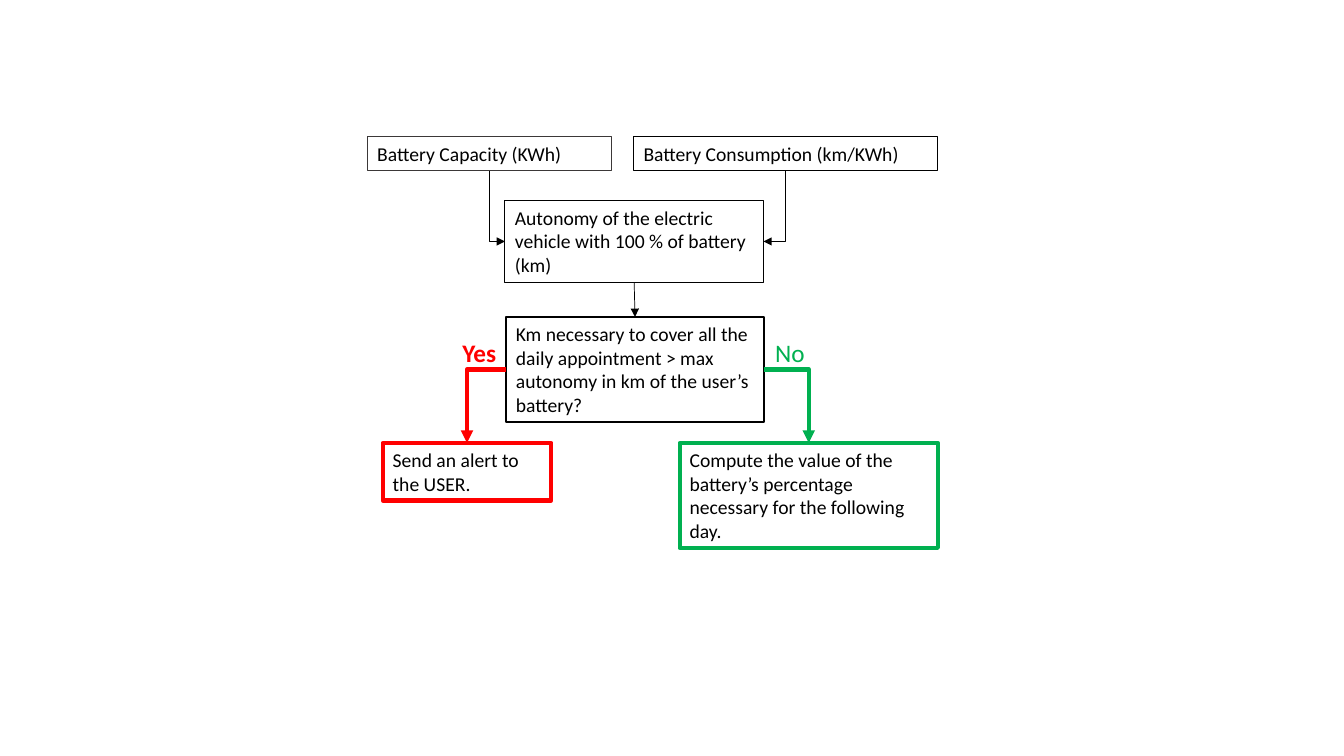
"""Build a flowchart slide for planning the battery charge of an electric vehicle."""
from dataclasses import dataclass

from lxml import etree
from pptx import Presentation
from pptx.dml.color import RGBColor
from pptx.enum.shapes import MSO_CONNECTOR, MSO_SHAPE
from pptx.enum.text import MSO_ANCHOR, MSO_AUTO_SIZE, PP_ALIGN
from pptx.oxml.ns import qn
from pptx.util import Pt

RECTANGLE = MSO_SHAPE.RECTANGLE
ELBOW = MSO_CONNECTOR.ELBOW
STRAIGHT = MSO_CONNECTOR.STRAIGHT
FIT_SHAPE = MSO_AUTO_SIZE.SHAPE_TO_FIT_TEXT
TOP = MSO_ANCHOR.TOP
LEFT = PP_ALIGN.LEFT
TOP_SIDE, LEFT_SIDE, BOTTOM_SIDE, RIGHT_SIDE = range(4)
SIDE_FRACTIONS = ((0.5, 0), (0, 0.5), (0.5, 1), (1, 0.5))


@dataclass(frozen=True)
class Theme:
    """Colours, font and sizes of the slide."""
    font: str = "Calibri"
    box_size: float = 14
    label_size: float = 18
    black: str = "000000"
    grey: str = "3B3838"
    white: str = "FFFFFF"
    yes: str = "FF0000"
    no: str = "00B050"
    thin: float = 0.5
    thick: float = 3


THEME = Theme()


@dataclass(frozen=True)
class Box:
    """A bordered step of the flowchart, in points."""
    key: str
    text: str
    left: float
    top: float
    width: float
    height: float
    color: str = THEME.black
    weight: float = 0.75
    fill: str | None = None


@dataclass(frozen=True)
class Arrow:
    """A connector between the sides of two boxes."""
    begin: str
    begin_side: int
    end: str
    end_side: int
    kind: int = ELBOW
    color: str = THEME.black
    weight: float = THEME.thin
    arrowhead: str = "tailEnd"


@dataclass(frozen=True)
class Label:
    """An answer beside the decision box, in points."""
    text: str
    left: float
    top: float
    color: str
    bold: bool = False


BOXES = [
    Box("capacity", "Battery Capacity (KWh)", 262.4, 97.8, 174.6, 24.2, color=THEME.grey),
    Box("consumption", "Battery Consumption (km/KWh)", 452.6, 97.8, 217.2, 24.2),
    Box("autonomy", "Autonomy of the electric vehicle with 100 % of battery (km)",
        360.7, 143.4, 184.6, 58.2),
    Box("decision", "Km necessary to cover all the daily appointment > max autonomy "
        "in km of the user’s battery?", 361.4, 226.4, 184.4, 75, weight=1, fill=THEME.white),
    Box("alert", "Send an alert to the USER.", 273.4, 316.4, 120.4, 41.2,
        color=THEME.yes, weight=THEME.thick),
    Box("compute", "Compute the value of the battery’s percentage necessary for the "
        "following day.", 485.5, 316.4, 184.4, 75, color=THEME.no, weight=THEME.thick),
]

ARROWS = [
    Arrow("autonomy", LEFT_SIDE, "capacity", BOTTOM_SIDE, arrowhead="headEnd"),
    Arrow("autonomy", RIGHT_SIDE, "consumption", BOTTOM_SIDE, arrowhead="headEnd"),
    Arrow("autonomy", BOTTOM_SIDE, "decision", TOP_SIDE, kind=STRAIGHT),
    Arrow("decision", LEFT_SIDE, "alert", TOP_SIDE, color=THEME.yes, weight=THEME.thick),
    Arrow("decision", RIGHT_SIDE, "compute", TOP_SIDE, color=THEME.no, weight=THEME.thick),
]

LABELS = [
    Label("Yes", 323.2, 237.2, THEME.yes, bold=True),
    Label("No", 546.6, 237.2, THEME.no),
]


def write_text(shape, text: str, *, size: float, color: str, bold: bool = False) -> None:
    """Write one formatted paragraph into a shape."""
    frame = shape.text_frame
    frame.word_wrap = True
    frame.auto_size = FIT_SHAPE
    frame.vertical_anchor = TOP
    paragraph = frame.paragraphs[0]
    paragraph.alignment = LEFT
    run = paragraph.add_run()
    run.text = text
    run.font.name = THEME.font
    run.font.size = Pt(size)
    run.font.bold = bold
    run.font.color.rgb = RGBColor.from_string(color)


def set_line(line, color: str, weight: float) -> None:
    """Give a line its colour and weight."""
    line.color.rgb = RGBColor.from_string(color)
    line.width = Pt(weight)


def draw_box(slide, box: Box):
    """Draw a bordered box and return its shape."""
    shape = slide.shapes.add_shape(
        RECTANGLE, Pt(box.left), Pt(box.top), Pt(box.width), Pt(box.height))
    shape.shadow.inherit = False
    if box.fill:
        shape.fill.solid()
        shape.fill.fore_color.rgb = RGBColor.from_string(box.fill)
    else:
        shape.fill.background()
    set_line(shape.line, box.color, box.weight)
    write_text(shape, box.text, size=THEME.box_size, color=THEME.black)
    return shape


def side_point(shape, side: int) -> tuple[int, int]:
    """Return the middle of one side of a shape."""
    across, down = SIDE_FRACTIONS[side]
    return int(shape.left + shape.width * across), int(shape.top + shape.height * down)


def draw_arrow(slide, arrow: Arrow, shapes: dict) -> None:
    """Draw an arrow joined to the boxes at both ends."""
    begin, end = shapes[arrow.begin], shapes[arrow.end]
    connector = slide.shapes.add_connector(
        arrow.kind, *side_point(begin, arrow.begin_side), *side_point(end, arrow.end_side))
    connector.begin_connect(begin, arrow.begin_side)
    connector.end_connect(end, arrow.end_side)
    set_line(connector.line, arrow.color, arrow.weight)
    properties = connector._element.spPr
    if arrow.kind == ELBOW:
        properties.find(qn("a:prstGeom")).set("prst", "bentConnector2")
    outline = properties.find(qn("a:ln"))
    etree.SubElement(outline, qn(f"a:{arrow.arrowhead}"), type="triangle")
    etree.SubElement(properties, qn("a:effectLst"))


def draw_label(slide, label: Label) -> None:
    """Draw an answer label."""
    shape = slide.shapes.add_textbox(Pt(label.left), Pt(label.top), Pt(46.8), Pt(29))
    write_text(shape, label.text, size=THEME.label_size, color=label.color, bold=label.bold)


def main() -> None:
    """Build and save the slide."""
    presentation = Presentation()
    presentation.slide_width, presentation.slide_height = Pt(960), Pt(540)
    slide = presentation.slides.add_slide(presentation.slide_layouts[6])
    shapes = {box.key: draw_box(slide, box) for box in BOXES}
    for arrow in ARROWS:
        draw_arrow(slide, arrow, shapes)
    for label in LABELS:
        draw_label(slide, label)
    presentation.save("out.pptx")


if __name__ == "__main__":
    main()
